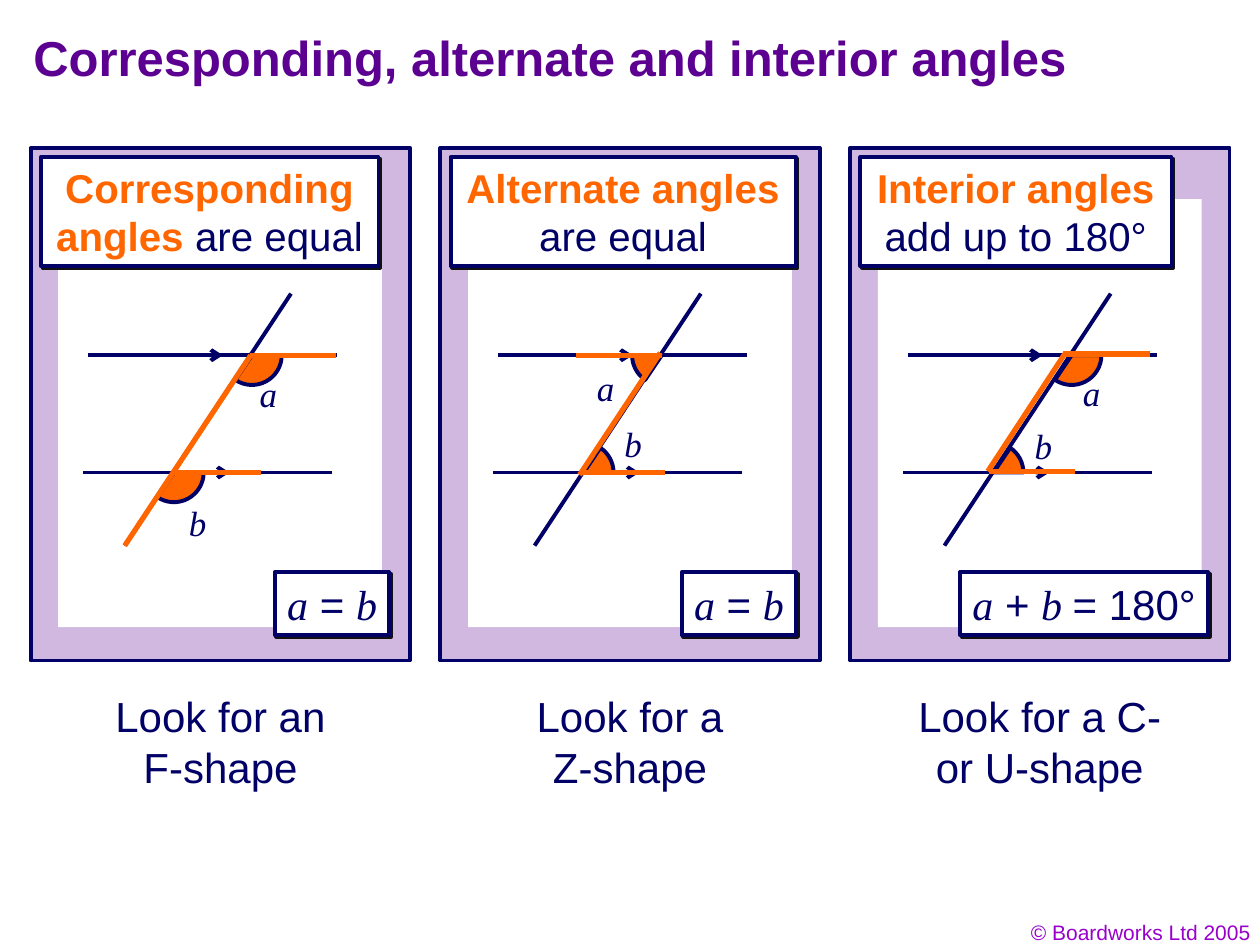
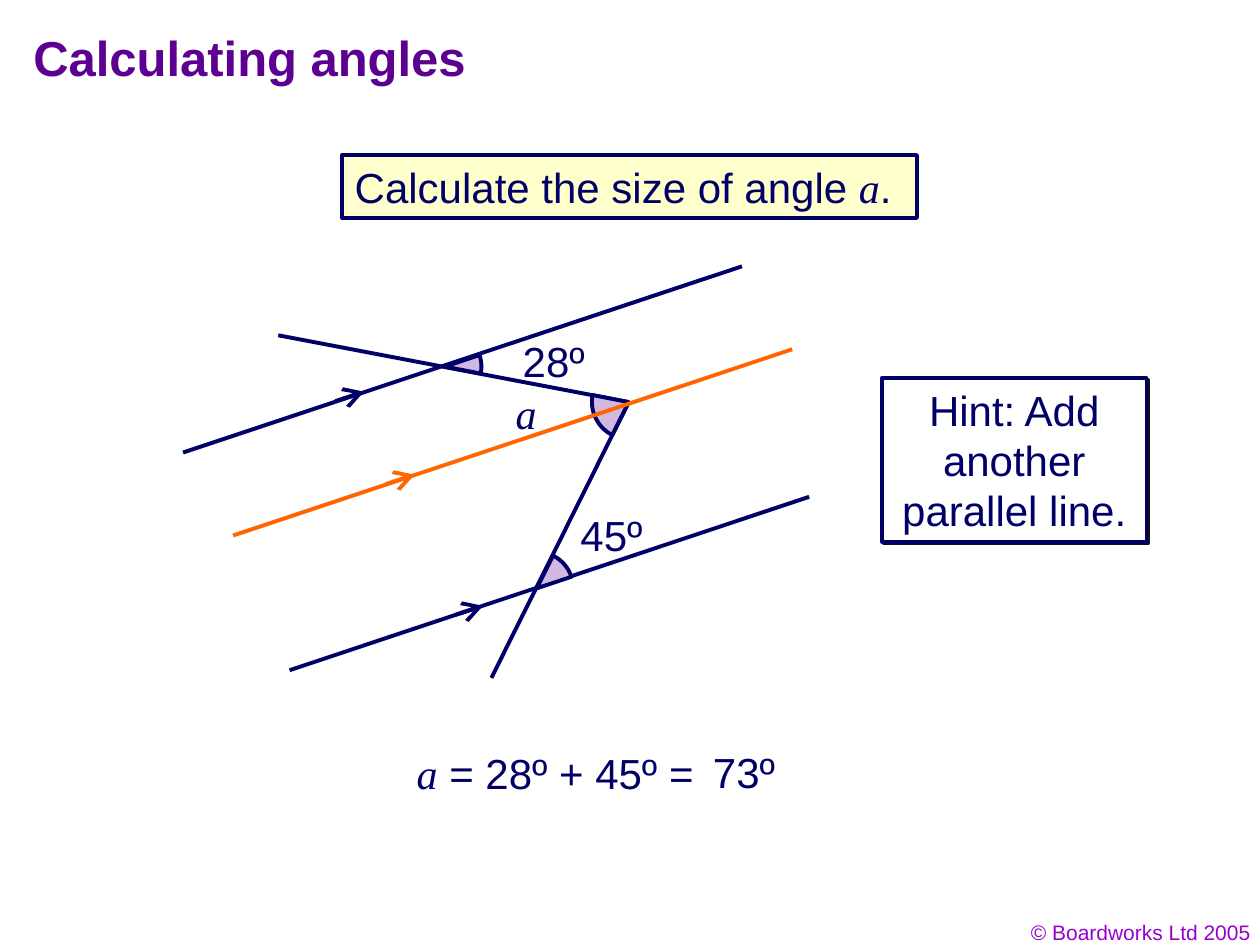
from dataclasses import dataclass
from math import ceil, cos, radians, sin, tan

from lxml import etree
from pptx import Presentation
from pptx.dml.color import RGBColor
from pptx.enum.shapes import MSO_CONNECTOR as Connector, MSO_SHAPE as Preset
from pptx.enum.text import MSO_ANCHOR as Anchor, PP_ALIGN as Align
from pptx.oxml.ns import qn
from pptx.util import Pt

COLORS = {
    "title": "5B0091",
    "footer": "9900CC",
    "navy": "000066",
    "orange": "FF6600",
    "lilac": "D0B8E0",
    "cream": "FFFFCC",
    "white": "FFFFFF",
    "shadow": "111111",
}
STYLES = {
    "plain": ("Arial", "navy", False, False),
    "variable": ("Times New Roman", "navy", False, True),
    "term": ("Arial", "orange", True, False),
    "title": ("Arial", "title", True, False),
    "footer": ("Arial", "footer", False, False),
}
LINE_WIDTH = 2.25
SHADOW_DISTANCE = 1.4
PANEL_PITCH = 234.2
TOP_LINE, BOTTOM_LINE = 203, 270
TOP_APEX, BOTTOM_APEX = (144, TOP_LINE), (99.4, BOTTOM_LINE)
OBTUSE, TOP_ACUTE, BOTTOM_ACUTE = (0, 124), (124, 180), (-56, 0)


@dataclass
class AnglePanel:
    term: str
    rule: str
    heading_width: float
    top_angle: tuple
    bottom_angle: tuple
    a_at: tuple
    b_at: tuple
    letter_shape: list
    result: list
    result_left: float
    result_width: float
    caption: str
    caption_left: float
    caption_width: float


EQUAL_RESULT = [("a", "variable"), (" = ", "plain"), ("b", "variable")]
PANELS = [
    AnglePanel(
        "Corresponding angles ", "are equal", 193, OBTUSE, OBTUSE,
        (141.3, 209.5), (100.8, 283),
        [((71.3, 311.8), (143.3, 203)), ((142.6, 203), (192.2, 203)),
         ((100, 270), (149, 270))],
        EQUAL_RESULT, 157, 65.5, "Look for an F-shape", 54, 144),
    AnglePanel(
        "Alternate angles ", "are equal", 197.3, TOP_ACUTE, BOTTOM_ACUTE,
        (99.8, 206), (115.5, 237.8),
        [((94.8, 203), (143.8, 203)), ((97, 270), (146, 270)),
         ((97, 271.4), (143.1, 201.6))],
        EQUAL_RESULT, 155.3, 65.5, "Look for a Z-shape", 53.8, 144),
    AnglePanel(
        "Interior angles ", "add up to 180°", 177.8, OBTUSE, BOTTOM_ACUTE,
        (143.3, 208.8), (115.7, 239),
        [((96.1, 269.3), (140, 202.3)), ((139.3, 202.3), (189, 202.3)),
         ((96.8, 269.3), (145.8, 269.3))],
        [("a", "variable"), (" + ", "plain"), ("b ", "variable"), ("= 180°", "plain")],
        80.2, 141.8, "Look for a C- or U-shape", 43.7, 164),
]


def rgb(name):
    return RGBColor.from_string(COLORS[name])


def write_spans(frame, spans, size, align=Align.LEFT, wrap=True):
    frame.word_wrap = wrap
    frame.vertical_anchor = Anchor.TOP
    para = frame.paragraphs[0]
    para.alignment = align
    for text, style in spans:
        face, color, bold, italic = STYLES[style]
        span = para.add_run()
        span.text = text
        span.font.name = face
        span.font.size = Pt(size)
        span.font.bold = bold
        span.font.italic = italic
        span.font.color.rgb = rgb(color)


def add_text(page, bounds, spans, size=24, **layout):
    box = page.shapes.add_textbox(*map(Pt, bounds))
    write_spans(box.text_frame, spans, size, **layout)


def paint(shape, fill, line="navy"):
    shape.shadow.inherit = False
    shape.fill.solid()
    shape.fill.fore_color.rgb = rgb(fill)
    if line:
        shape.line.color.rgb = rgb(line)
        shape.line.width = Pt(LINE_WIDTH)
    else:
        shape.line.fill.background()


def add_box(page, bounds, fill, line="navy"):
    box = page.shapes.add_shape(Preset.RECTANGLE, *map(Pt, bounds))
    paint(box, fill, line)
    return box


def add_shadow(box):
    effects = box._element.spPr.find(qn("a:effectLst"))
    shadow = etree.SubElement(
        effects, qn("a:outerShdw"), dist=str(Pt(SHADOW_DISTANCE)), dir="2700000",
        algn="ctr", rotWithShape="0")
    etree.SubElement(shadow, qn("a:srgbClr"), val=COLORS["shadow"])


def add_card(page, bounds, spans, size=24, **layout):
    card = add_box(page, bounds, "white")
    add_shadow(card)
    write_spans(card.text_frame, spans, size, **layout)


def add_line(page, start, end, color="navy", width=LINE_WIDTH, head=None):
    line = page.shapes.add_connector(Connector.STRAIGHT, *map(Pt, (*start, *end)))
    line.line.color.rgb = rgb(color)
    line.line.width = Pt(width)
    if head:
        etree.SubElement(line.line._get_or_add_ln(), qn("a:tailEnd"), type="arrow",
                         w=head, len=head)
    etree.SubElement(line._element.spPr, qn("a:effectLst"))


def add_parallel(page, start, end, arrow_start, arrow_end, color="navy", head="lg"):
    add_line(page, start, end, color)
    add_line(page, arrow_start, arrow_end, color, head=head)


def add_step(outline, kind, *points):
    step = etree.SubElement(outline, qn(f"a:{kind}"))
    for x, y in points:
        etree.SubElement(step, qn("a:pt"), x=str(Pt(x)), y=str(Pt(y)))


def add_angle(page, apex, radius, sweep, fill):
    left, top = apex[0] - radius, apex[1] - radius
    right, bottom = left + 2 * radius, top + 2 * radius
    builder = page.shapes.build_freeform(Pt(left), Pt(top))
    builder.add_line_segments([(Pt(right), Pt(top)), (Pt(right), Pt(bottom)),
                               (Pt(left), Pt(bottom))])
    sector = builder.convert_to_shape()
    outline = next(sector._element.iter(qn("a:path")))
    for step in list(outline):
        outline.remove(step)

    first, last = map(radians, sweep)
    curves = ceil((sweep[1] - sweep[0]) / 90)
    turn = (last - first) / curves
    pull = 4 / 3 * tan(turn / 4)

    def on_arc(angle, lean=0):
        return (radius * (1 + cos(angle) - lean * sin(angle)),
                radius * (1 + sin(angle) + lean * cos(angle)))

    add_step(outline, "moveTo", on_arc(first))
    for index in range(curves):
        begin = first + index * turn
        finish = begin + turn
        add_step(outline, "cubicBezTo", on_arc(begin, pull), on_arc(finish, -pull),
                 on_arc(finish))
    add_step(outline, "lnTo", (radius, radius))
    add_step(outline, "close")
    paint(sector, fill)


def add_page(deck, title):
    page = deck.slides.add_slide(deck.slide_layouts[6])
    add_text(page, (553.7, 522, 168, 21.6), [("© Boardworks Ltd 2005", "footer")], 12,
             align=Align.RIGHT)
    add_text(page, (12, 12, 612, 48), [(title, "title")], 28)
    return page


def add_panel(page, panel, shift):
    def moved(point):
        return point[0] + shift, point[1]

    add_box(page, (17.5 + shift, 84.5, 216.7, 293), "lilac")
    add_box(page, (33.3 + shift, 113.8, 185, 244.6), "white", None)
    add_angle(page, moved(TOP_APEX), 17, panel.top_angle, "orange")
    add_angle(page, moved(BOTTOM_APEX), 17, panel.bottom_angle, "orange")
    add_card(page, (23.3 + shift, 89.8, panel.heading_width, 62.3),
             [(panel.term, "term"), (panel.rule, "plain")], 23, align=Align.CENTER)
    for y, *stops in ((TOP_LINE, 50.4, 192.7, 115.5, 127.4),
                      (BOTTOM_LINE, 47.5, 190, 119.4, 131.2)):
        add_parallel(page, *[(x + shift, y) for x in stops], head="med")
    add_line(page, moved((71.3, 311.8)), moved((166.3, 167.8)))
    for letter, place in (("a", panel.a_at), ("b", panel.b_at)):
        add_text(page, (*moved(place), 24.5, 31.7), [(letter, "variable")], 20, wrap=False)
    add_card(page, (panel.result_left + shift, 327, panel.result_width, 36),
             panel.result, wrap=False)
    for start, end in panel.letter_shape:
        add_line(page, moved(start), moved(end), "orange", 3)
    add_text(page, (panel.caption_left + shift, 391.2, panel.caption_width, 65),
             [(panel.caption, "plain")], align=Align.CENTER)


def add_angle_types(deck):
    page = add_page(deck, "Corresponding, alternate and interior angles")
    for index, panel in enumerate(PANELS):
        add_panel(page, panel, index * PANEL_PITCH)


def add_calculation(deck):
    page = add_page(deck, "Calculating angles")
    question = add_box(page, (195.6, 88.6, 328.4, 36), "cream")
    write_spans(question.text_frame, [("Calculate the size of angle ", "plain"),
                                      ("a", "variable"), (".", "plain")], 24)
    add_parallel(page, (104.6, 258.6), (424, 152.2), (191.5, 229.3), (208, 223.8))
    add_parallel(page, (165.5, 383), (462.4, 283.9), (259.8, 351.5), (276, 346.2))
    corner = (359.3, 229.8)
    add_line(page, (159, 191.6), corner)
    add_line(page, corner, (280.8, 387.4))
    for apex, radius, sweep in (((254.2, 209.5), 20.9, (-18.4, 11)),
                                ((306.7, 336.2), 20.9, (-63.5, -18.4)),
                                (corner, 21, (116.5, 191))):
        add_angle(page, apex, radius, sweep, "lilac")
    for text, style, left, top, width in (
            ("a", "variable", 287.5, 218, 26),
            ("28º", "plain", 291.6, 188, 49.7),
            ("45º", "plain", 324.6, 287.5, 49.7),
            ("73º", "plain", 400.3, 423.2, 49.7)):
        add_text(page, (left, top, width, 36), [(text, style)], wrap=False)
    add_card(page, (504, 216, 151.2, 93.6), [("Hint: Add another parallel line.", "plain")],
             align=Align.CENTER)
    add_parallel(page, (133.2, 306), (452.7, 199.6), (220.4, 276.7), (236.9, 271.3), "orange")
    add_text(page, (231, 423.5, 179.3, 36),
             [("a", "variable"), (" = 28º + 45º =", "plain")], wrap=False)


def main():
    deck = Presentation()
    deck.slide_width, deck.slide_height = Pt(720), Pt(540)
    add_angle_types(deck)
    add_calculation(deck)
    deck.save("out.pptx")


if __name__ == "__main__":
    main()
